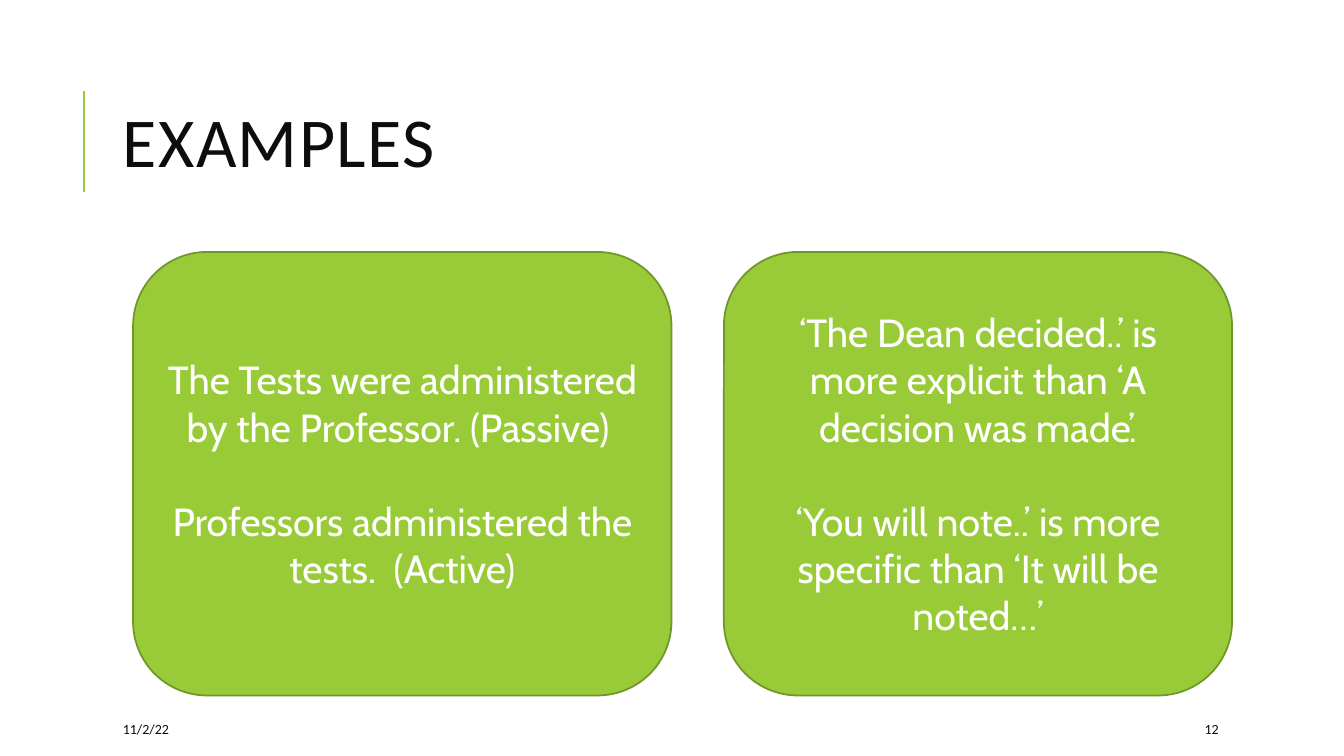
from lxml import etree
from pptx import Presentation
from pptx.dml.color import RGBColor
from pptx.enum import shapes, text
from pptx.oxml import ns
from pptx.util import Inches, Pt

GREEN = RGBColor(0x99, 0xCB, 0x38)
DARK_GREEN = RGBColor(0x71, 0x96, 0x29)
INK = RGBColor(0x0D, 0x0D, 0x0D)
WHITE = RGBColor(0xFF, 0xFF, 0xFF)

TITLE = "EXAMPLES"
DATE = "11/2/22"
NUMBER = "12"
# left, width, paragraphs
CARDS = [
    (1.32, 5.34, ["The Tests were administered by the Professor. (Passive) ",
                  "Professors administered the tests.  (Active)"]),
    (7.18, 5.04, ["‘The Dean decided..’ is more explicit than ‘A decision was made’.",
                  "‘You will note..’ is more specific than ‘It will be noted…’"]),
]
CARD_TOP, CARD_HEIGHT = 2.5, 4.4
FOOTER_TOP, FOOTER_HEIGHT = 7.08, 0.3


def add_run(p, words, size, font, color):
    r = p.add_run()
    r.text = words
    r.font.size = Pt(size)
    r.font.name = font
    r.font.color.rgb = color
    return r


def add_label(s, box, words, size):
    """Add a one-line text box, centred vertically, and return its paragraph and run."""
    tf = s.shapes.add_textbox(*map(Inches, box)).text_frame
    tf.word_wrap = True
    tf.vertical_anchor = text.MSO_ANCHOR.MIDDLE
    p = tf.paragraphs[0]
    return p, add_run(p, words, size, "Calibri", INK)


def add_card(s, left, width, paragraphs):
    sp = s.shapes.add_shape(shapes.MSO_SHAPE.ROUNDED_RECTANGLE, Inches(left),
                            Inches(CARD_TOP), Inches(width), Inches(CARD_HEIGHT))
    sp.shadow.inherit = False
    sp.fill.solid()
    sp.fill.fore_color.rgb = GREEN
    sp.line.color.rgb = DARK_GREEN
    sp.line.width = Pt(1.25)
    tf = sp.text_frame
    tf.word_wrap = True
    tf.vertical_anchor = text.MSO_ANCHOR.MIDDLE
    for i, words in enumerate(paragraphs):
        p = tf.add_paragraph() if i else tf.paragraphs[0]
        p.alignment = text.PP_ALIGN.CENTER
        if i:
            p.space_before = Pt(34)
        add_run(p, words, 28, "Cabin", WHITE)


def main():
    prs = Presentation()
    prs.slide_width, prs.slide_height = Inches(13.33), Inches(7.5)
    s = prs.slides.add_slide(prs.slide_layouts[6])

    rule = s.shapes.add_connector(shapes.MSO_CONNECTOR.STRAIGHT, Inches(0.83),
                                  Inches(1.9), Inches(0.83), Inches(0.9))
    rule.line.color.rgb = GREEN
    rule.line.width = Pt(1.5)
    etree.SubElement(rule._element.spPr, ns.qn("a:effectLst"))

    p, r = add_label(s, (1.12, 0.64, 10.63, 1.64), TITLE, 50)
    p.line_spacing = 0.8
    r.font._element.set("spc", "100")

    for card in CARDS:
        add_card(s, *card)

    for left, width, words in [(1.12, 2.36, DATE), (11.85, 1.06, NUMBER)]:
        add_label(s, (left, FOOTER_TOP, width, FOOTER_HEIGHT), words, 10)

    prs.save("out.pptx")


if __name__ == "__main__":
    main()
